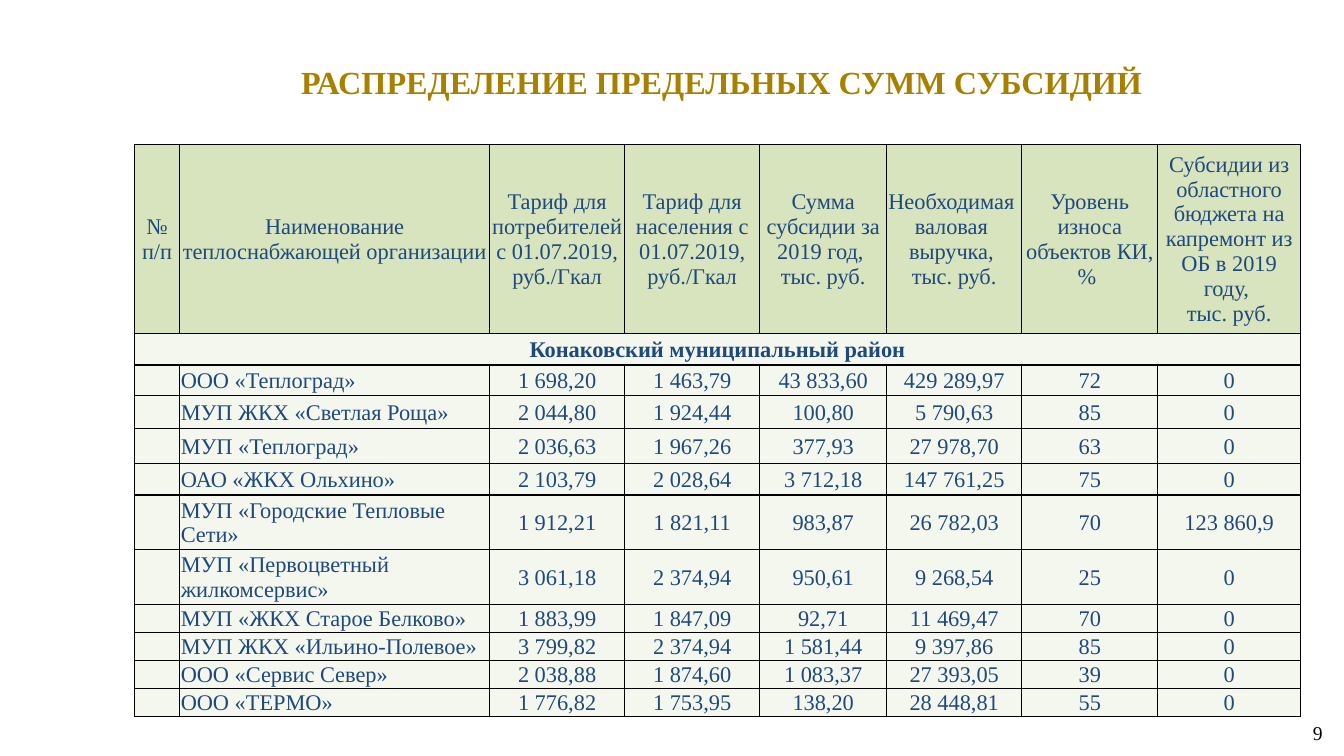
"""Builds the slide with the table of maximum subsidy amounts."""
from lxml.etree import SubElement
from pptx import Presentation
from pptx.dml.color import RGBColor
from pptx.enum.shapes import MSO_SHAPE as Preset
from pptx.enum.text import MSO_ANCHOR as Anchor, PP_ALIGN as Align
from pptx.oxml.ns import qn
from pptx.util import Pt

GOLD = RGBColor(0xA8, 0x80, 0x00)
NAVY = RGBColor(0x1F, 0x49, 0x7D)
BLACK = RGBColor(0, 0, 0)
WHITE = RGBColor(0xFF, 0xFF, 0xFF)
HEADER_GREEN = RGBColor(0xD7, 0xE4, 0xBD)
BODY_GREEN = RGBColor(0xEB, 0xF1, 0xDE)

COLUMN_WIDTHS = (32.4, 221.3, 96.5, 96.5, 90.7, 96.5, 97.2, 101.9)
ROW_HEIGHTS = (135, 22.7, 21.9, 23.7, 25, 22.3, 39.2, 39.2, 20, 20, 20, 20)
HEADERS = (
    ("№ п/п",),
    ("Наименование теплоснабжающей организации",),
    ("Тариф для потребителей с 01.07.2019,", "руб./Гкал"),
    ("Тариф для населения с 01.07.2019,", "руб./Гкал"),
    ("Сумма субсидии за 2019 год, ", "тыс. руб."),
    ("Необходимая ", "валовая ", "выручка, ", "тыс. руб."),
    ("Уровень износа объектов КИ, % ",),
    ("Субсидии из областного бюджета на капремонт из ОБ в 2019 году, ", "тыс. руб."),
)
DISTRICT = "Конаковский муниципальный район"
ORGANIZATIONS = (
    ("ООО «Теплоград»", "1 698,20", "1 463,79", "43 833,60", "429 289,97", "72", "0"),
    ("МУП ЖКХ «Светлая Роща»", "2 044,80", "1 924,44", "100,80", "5 790,63", "85", "0"),
    ("МУП «Теплоград»", "2 036,63", "1 967,26", "377,93", "27 978,70", "63", "0"),
    ("ОАО «ЖКХ Ольхино»", "2 103,79", "2 028,64", "3 712,18", "147 761,25", "75", "0"),
    ("МУП «Городские Тепловые Сети»", "1 912,21", "1 821,11", "983,87", "26 782,03", "70", "123 860,9"),
    ("МУП «Первоцветный жилкомсервис»", "3 061,18", "2 374,94", "950,61", "9 268,54", "25", "0"),
    ("МУП «ЖКХ Старое Белково»", "1 883,99", "1 847,09", "92,71", "11 469,47", "70", "0"),
    ("МУП ЖКХ «Ильино-Полевое»", "3 799,82", "2 374,94", "1 581,44", "9 397,86", "85", "0"),
    ("ООО «Сервис Север»", "2 038,88", "1 874,60", "1 083,37", "27 393,05", "39", "0"),
    ("ООО «ТЕРМО»", "1 776,82", "1 753,95", "138,20", "28 448,81", "55", "0"),
)


class SlideBuilder:
    """Holds the text style and the current slide."""

    def __init__(self, slide, font_name):
        self.slide = slide
        self.font_name = font_name

    def add_lines(self, frame, lines, size, color, align, bold=False):
        """Adds each line as a paragraph with one run."""
        frame.word_wrap = True
        for index, line in enumerate(lines):
            paragraph = frame.add_paragraph() if index else frame.paragraphs[0]
            paragraph.alignment = align
            run = paragraph.add_run()
            run.text = line
            run.font.name = self.font_name
            run.font.size = Pt(size)
            run.font.bold = bold
            run.font.color.rgb = color

    def title(self, left, top, width, height, text):
        """Adds the slide title."""
        box = self.slide.shapes.add_textbox(Pt(left), Pt(top), Pt(width), Pt(height))
        box.text_frame.vertical_anchor = Anchor.MIDDLE
        self.add_lines(box.text_frame, (text,), 23, GOLD, Align.CENTER, True)

    def page_number(self, left, top, width, height, text):
        """Adds the page number on a white rectangle."""
        shape = self.slide.shapes.add_shape(
            Preset.RECTANGLE, Pt(left), Pt(top), Pt(width), Pt(height))
        shape.shadow.inherit = False
        shape.fill.solid()
        shape.fill.fore_color.rgb = WHITE
        shape.line.fill.background()
        shape.text_frame.vertical_anchor = Anchor.TOP
        self.add_lines(shape.text_frame, (text,), 14, BLACK, Align.RIGHT)

    def table(self, left, top, widths, heights):
        """Adds an empty table without banding."""
        table = self.slide.shapes.add_table(
            len(heights), len(widths), Pt(left), Pt(top),
            Pt(sum(widths)), Pt(sum(heights))).table
        table.first_row = table.horz_banding = False
        for column, width in zip(table.columns, widths):
            column.width = Pt(width)
        for row, height in zip(table.rows, heights):
            row.height = Pt(height)
        return table

    def cell(self, cell, lines, fill, align=Align.CENTER, bold=False, opacity=100):
        """Fills and borders one table cell and adds its text."""
        cell.margin_left = cell.margin_right = cell.margin_top = Pt(0.72)
        cell.margin_bottom = Pt(0)
        cell.vertical_anchor = Anchor.MIDDLE
        properties = cell._tc.get_or_add_tcPr()
        for side in ("a:lnL", "a:lnR", "a:lnT", "a:lnB"):
            line = SubElement(properties, qn(side), w=str(Pt(1)))
            SubElement(SubElement(line, qn("a:solidFill")), qn("a:srgbClr"), val=str(BLACK))
        cell.fill.solid()
        cell.fill.fore_color.rgb = fill
        if opacity < 100:
            color = properties.find(qn("a:solidFill")).find(qn("a:srgbClr"))
            SubElement(color, qn("a:alpha"), val=str(opacity * 1000))
        if lines:
            self.add_lines(cell.text_frame, lines, 16, NAVY, align, bold)
        else:
            SubElement(cell.text_frame.paragraphs[0]._p, qn("a:endParaRPr"), sz="1600")


def main():
    """Builds and saves the presentation."""
    presentation = Presentation()
    presentation.slide_width, presentation.slide_height = Pt(960), Pt(540)
    slide = presentation.slides.add_slide(presentation.slide_layouts[6])
    builder = SlideBuilder(slide, "Times New Roman")
    builder.title(133.2, 40.3, 765.4, 35.3, "РАСПРЕДЕЛЕНИЕ ПРЕДЕЛЬНЫХ СУММ СУБСИДИЙ")
    builder.page_number(922.3, 511.2, 29.5, 24.5, "9")

    table = builder.table(96, 103, COLUMN_WIDTHS, ROW_HEIGHTS)
    for column, lines in enumerate(HEADERS):
        builder.cell(table.cell(0, column), lines, HEADER_GREEN)
        district_lines = () if column else (DISTRICT,)
        builder.cell(table.cell(1, column), district_lines, BODY_GREEN, bold=True, opacity=50)
    table.cell(1, 0).merge(table.cell(1, len(HEADERS) - 1))
    for row, organization in enumerate(ORGANIZATIONS, 2):
        builder.cell(table.cell(row, 0), (), BODY_GREEN, opacity=50)
        for column, text in enumerate(organization, 1):
            align = Align.LEFT if column == 1 else Align.CENTER
            builder.cell(table.cell(row, column), (text,), BODY_GREEN, align, opacity=50)

    presentation.save("out.pptx")


if __name__ == "__main__":
    main()
